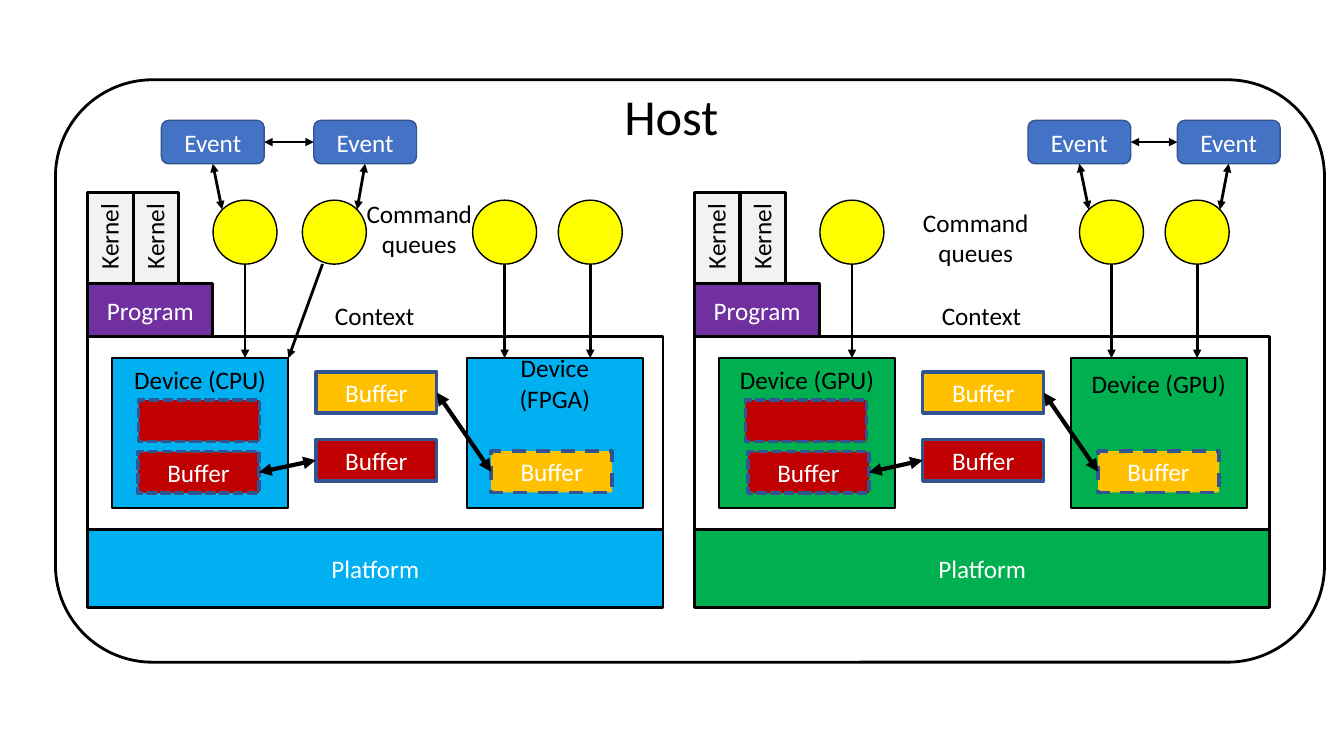
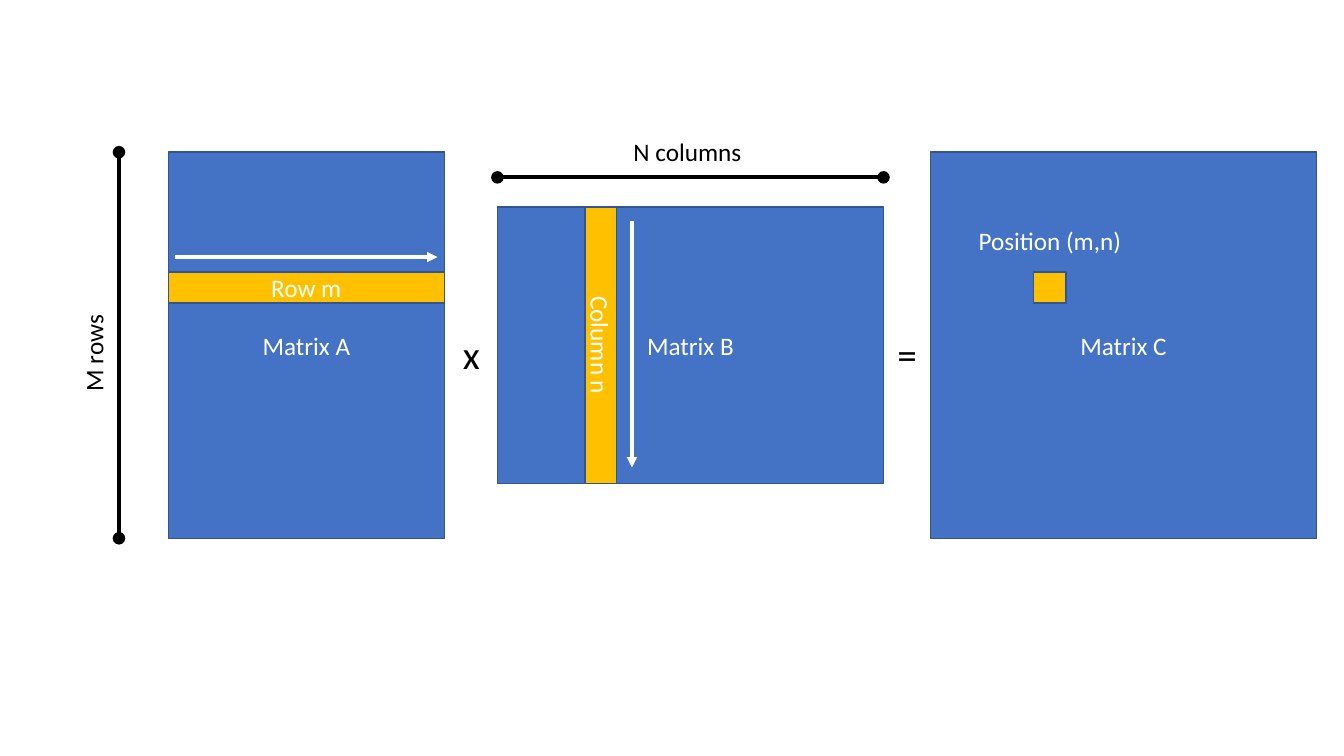
import pptx
import pptx.dml.color
import pptx.enum.dml
import pptx.enum.shapes
import pptx.enum.text
import pptx.oxml.ns
import pptx.util
from lxml import etree

Pt = pptx.util.Pt
RGBColor = pptx.dml.color.RGBColor
Shape = pptx.enum.shapes.MSO_SHAPE
Dash = pptx.enum.dml.MSO_LINE

BLACK = RGBColor(0x00, 0x00, 0x00)
WHITE = RGBColor(0xFF, 0xFF, 0xFF)
LIGHT_GRAY = RGBColor(0xF2, 0xF2, 0xF2)
PURPLE = RGBColor(0x70, 0x30, 0xA0)
CYAN = RGBColor(0x00, 0xB0, 0xF0)
GREEN = RGBColor(0x00, 0xB0, 0x50)
YELLOW = RGBColor(0xFF, 0xFF, 0x00)
RED = RGBColor(0xC0, 0x00, 0x00)
AMBER = RGBColor(0xFF, 0xC0, 0x00)
BLUE = RGBColor(0x44, 0x72, 0xC4)
DARK_BLUE = RGBColor(0x32, 0x54, 0x91)
FONT = "Calibri"

QUEUE_SIZE = 45.7
QUEUE_TOP = 143
DEVICE_TOP = 255.8
DEVICE_WIDTH = 126
BUFFER_WIDTH = 86.4
BUFFER_HEIGHT = 29.5
EVENT_WIDTH = 73.4
EVENT_HEIGHT = 31
EVENT_TOP = 86


def write_text(shape, text, size=18, color=WHITE, wrap=True, grow=False):
    """Write centred text, one paragraph for each line."""
    frame = shape.text_frame
    frame.text = text
    frame.word_wrap = wrap
    frame.vertical_anchor = pptx.enum.text.MSO_ANCHOR.MIDDLE
    if grow:
        frame.auto_size = pptx.enum.text.MSO_AUTO_SIZE.SHAPE_TO_FIT_TEXT
    for paragraph in frame.paragraphs:
        paragraph.alignment = pptx.enum.text.PP_ALIGN.CENTER
        paragraph.font.name = FONT
        paragraph.font.size = Pt(size)
        paragraph.font.color.rgb = color
        for run in paragraph.runs:
            run.font.name = FONT
            run.font.size = Pt(size)
            run.font.color.rgb = color


def add_box(slide, left, top, width, height, fill, text="", kind=Shape.RECTANGLE,
            line=BLACK, weight=2, dash=None, rotation=0):
    shape = slide.shapes.add_shape(kind, Pt(left), Pt(top), Pt(width), Pt(height))
    shape.shadow.inherit = False
    shape.fill.solid()
    shape.fill.fore_color.rgb = fill
    shape.line.color.rgb = line
    shape.line.width = Pt(weight)
    if dash is not None:
        shape.line.dash_style = dash
    shape.rotation = rotation
    if text:
        write_text(shape, text)


def add_label(slide, text, center_x, center_y, width, size=18, color=BLACK, rotation=0):
    height = size * 1.2 * len(text.split("\n")) + 7.2
    box = slide.shapes.add_textbox(Pt(center_x - width / 2), Pt(center_y - height / 2),
                                   Pt(width), Pt(height))
    box.rotation = rotation
    write_text(box, text, size=size, color=color, wrap=False, grow=True)


def add_line(slide, start, end, weight=2, color=BLACK, head=None, tail="triangle"):
    connector = slide.shapes.add_connector(pptx.enum.shapes.MSO_CONNECTOR.STRAIGHT,
                                           *(Pt(value) for value in (*start, *end)))
    connector.line.color.rgb = color
    connector.line.width = Pt(weight)
    outline = connector.line._get_or_add_ln()
    for tag, arrowhead in (("a:headEnd", head), ("a:tailEnd", tail)):
        if arrowhead:
            etree.SubElement(outline, pptx.oxml.ns.qn(tag), type=arrowhead)
    etree.SubElement(connector._element.spPr, pptx.oxml.ns.qn("a:effectLst"))


def add_buffer(slide, left, top, fill, text="Buffer", dash=None):
    add_box(slide, left, top, BUFFER_WIDTH, BUFFER_HEIGHT, fill, text,
            line=DARK_BLUE, weight=2.5, dash=dash)


def add_queue(slide, left):
    add_box(slide, left, QUEUE_TOP, QUEUE_SIZE, QUEUE_SIZE, YELLOW,
            kind=Shape.OVAL, weight=1)


def add_device(slide, left, fill, name, label_y):
    add_box(slide, left, DEVICE_TOP, DEVICE_WIDTH, 106.8, fill, weight=1.5)
    add_label(slide, name, left + DEVICE_WIDTH / 2, label_y, 115)


def add_platform(slide, left, fill, device_names, second_device, red_copy, queues_label):
    """Draw a platform with its context, program, devices, buffers and queues."""
    add_box(slide, left, 202.5, 89.5, 38, PURPLE, "Program")
    add_box(slide, left, 240.5, 411, 138, WHITE)
    add_box(slide, left, 378, 411, 56.2, fill, "Platform")
    add_label(slide, "Context", left + 205, 225.4, 72)
    for offset in (0, 32.7):
        add_box(slide, left + offset, 137.5, 32.4, 65, LIGHT_GRAY)
        add_label(slide, "Kernel", left + offset + 15, 169, 64, rotation=270)

    add_device(slide, left + 17.3, fill, device_names[0], 270.7)
    add_device(slide, left + second_device, fill, device_names[1], 273.6)

    host_left = left + 163
    red_left = left + red_copy
    amber_left = left + 288.3
    red_top, red_copy_top = 314, 322.6
    amber_top, amber_copy_top = 265.7, 322.2
    half = BUFFER_HEIGHT / 2
    add_buffer(slide, host_left, red_top, RED)
    add_buffer(slide, host_left, amber_top, AMBER)
    add_buffer(slide, left + 36.4, 285.8, RED, text="", dash=Dash.SQUARE_DOT)
    add_buffer(slide, red_left, red_copy_top, RED, dash=Dash.SQUARE_DOT)
    add_buffer(slide, amber_left, amber_copy_top, AMBER, dash=Dash.DASH)
    add_line(slide, (host_left, red_top + half),
             (red_left + BUFFER_WIDTH, red_copy_top + half), weight=3, head="triangle")
    add_line(slide, (amber_left, amber_copy_top + half),
             (host_left + BUFFER_WIDTH, amber_top + half), weight=3, head="triangle")

    for offset in (89.6, 275, 336.2):
        center = left + offset + QUEUE_SIZE / 2
        add_queue(slide, left + offset)
        add_line(slide, (center, QUEUE_TOP + QUEUE_SIZE), (center, DEVICE_TOP))
    add_label(slide, "Command\nqueues", *queues_label, 91)


def add_event_pair(slide, event_centers, queue_lefts):
    """Link two events to each other and to the outer shoulders of their queues."""
    radius = QUEUE_SIZE / 2
    shoulder = radius * 0.71
    for center, queue_left, side in zip(event_centers, queue_lefts, (-1, 1)):
        add_box(slide, center - EVENT_WIDTH / 2, EVENT_TOP, EVENT_WIDTH, EVENT_HEIGHT,
                BLUE, "Event", kind=Shape.ROUNDED_RECTANGLE, line=DARK_BLUE, weight=1)
        add_line(slide, (center, EVENT_TOP + EVENT_HEIGHT),
                 (queue_left + radius + side * shoulder, QUEUE_TOP + radius - shoulder),
                 head="triangle")
    middle = EVENT_TOP + EVENT_HEIGHT / 2
    add_line(slide, (event_centers[0] + EVENT_WIDTH / 2, middle),
             (event_centers[1] - EVENT_WIDTH / 2, middle), head="triangle")


def build_host_slide(slide):
    add_box(slide, 39.6, 57, 906.5, 416, WHITE, kind=Shape.ROUNDED_RECTANGLE)
    add_platform(slide, 62.6, CYAN, ("Device (CPU)", "Device (FPGA)"),
                 second_device=270.7, red_copy=36, queues_label=(299.5, 163))
    add_platform(slide, 496.1, GREEN, ("Device (GPU)", "Device (GPU)"),
                 second_device=268.6, red_copy=38.2, queues_label=(697, 169.5))
    add_queue(slide, 216)
    add_line(slide, (230.4, 188.6), (206, DEVICE_TOP))
    add_event_pair(slide, (152, 260.8), (152, 216))
    add_event_pair(slide, (771, 877.7), (771.1, 832.3))
    add_label(slide, "Host", 479.5, 82.5, 82, size=36)


def build_matrix_slide(slide):
    long_side, short_side, strip = 275.8, 197.3, 22.3
    top, middle = 108.7, 246.6
    a_left, b_left, c_left = 120.2, 355.3, 664.6
    b_top = middle - short_side / 2
    row_top, column_center = 194.2, 429.1
    outline = {"line": DARK_BLUE, "weight": 1}

    add_box(slide, a_left, top, short_side, long_side, BLUE, "Matrix A", **outline)
    add_box(slide, b_left, b_top, long_side, short_side, BLUE, "Matrix B", **outline)
    add_box(slide, c_left, top, long_side, long_side, BLUE, "Matrix C", **outline)
    add_box(slide, a_left, row_top, short_side, strip, AMBER, "Row m", **outline)
    add_box(slide, column_center - short_side / 2, middle - strip / 2, short_side, strip,
            AMBER, "Column n", rotation=90, **outline)
    add_box(slide, 738.3, row_top, 23.2, strip, AMBER, **outline)

    add_line(slide, (125, 183.6), (312.5, 183.6), weight=2.5, color=WHITE)
    add_line(slide, (451.4, 157.7), (451.4, 334), weight=2.5, color=WHITE)
    add_line(slide, (85, top), (85, top + long_side), weight=3, head="oval", tail="oval")
    add_line(slide, (b_left, 126.7), (b_left + long_side, 126.7), weight=3,
             head="oval", tail="oval")

    add_label(slide, "x", 336.6, 252.4, 27, size=28)
    add_label(slide, "=", 648, 252.4, 29, size=28)
    add_label(slide, "Position (m,n)", 749.9, 172, 117, color=WHITE)
    add_label(slide, "M rows", 66.6, 252.2, 70, rotation=270)
    add_label(slide, "N columns", 491, 108, 92)


def main():
    presentation = pptx.Presentation()
    presentation.slide_width = Pt(960)
    presentation.slide_height = Pt(540)
    blank_layout = presentation.slide_layouts[6]
    for build in (build_host_slide, build_matrix_slide):
        build(presentation.slides.add_slide(blank_layout))
    presentation.save("out.pptx")


if __name__ == "__main__":
    main()
